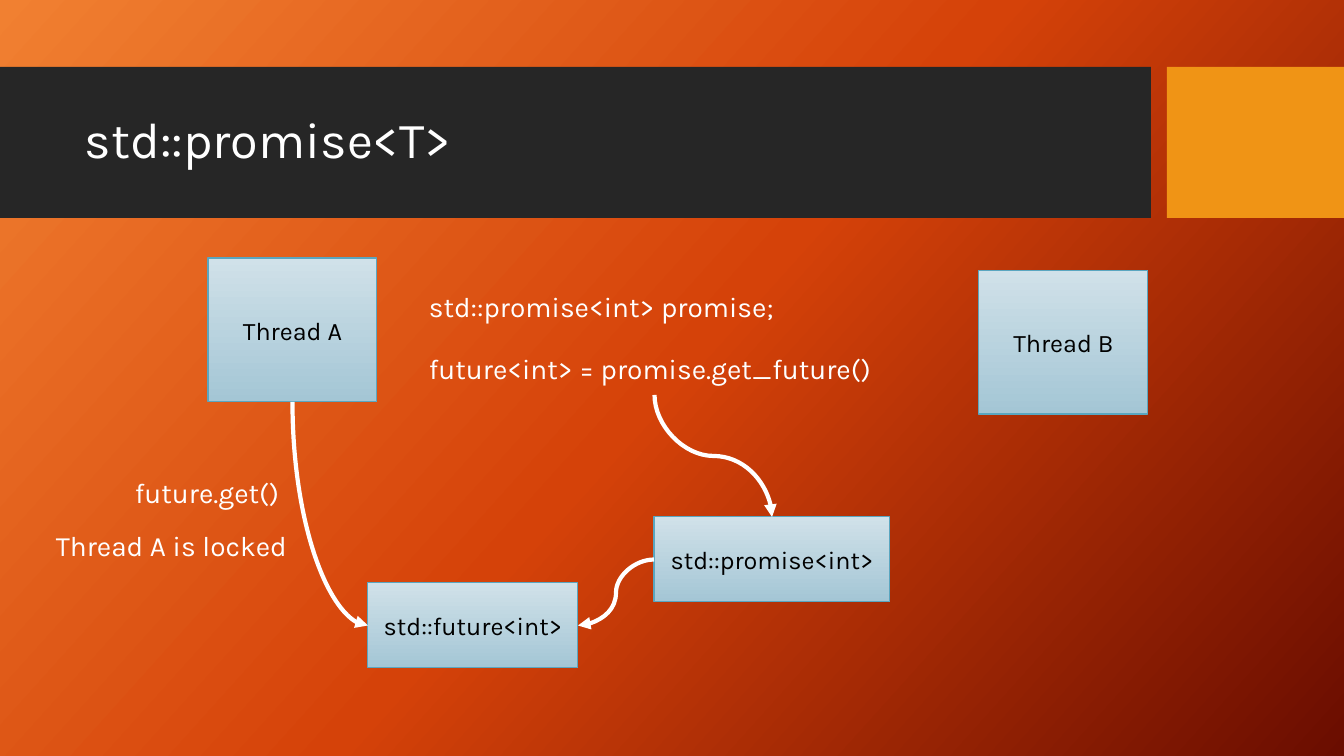
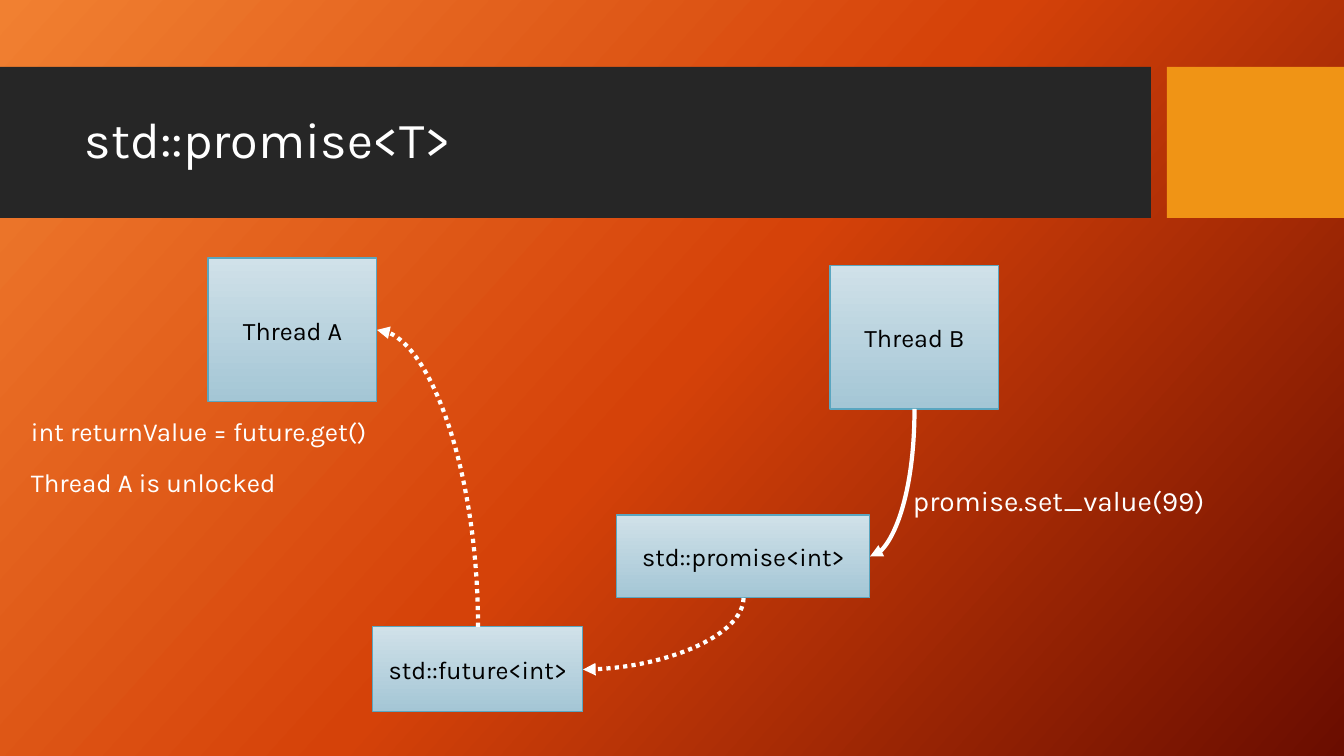
from copy import deepcopy
from dataclasses import dataclass

from pptx import Presentation
from pptx.dml.color import RGBColor
from pptx.enum.dml import MSO_LINE
from pptx.enum.shapes import MSO_CONNECTOR, MSO_SHAPE
from pptx.enum.text import MSO_ANCHOR, PP_ALIGN
from pptx.oxml.ns import qn
from pptx.util import Emu, Pt

RECTANGLE = MSO_SHAPE.RECTANGLE
CURVE = MSO_CONNECTOR.CURVE
DOTTED = MSO_LINE.ROUND_DOT
MIDDLE = MSO_ANCHOR.MIDDLE
LEFT, CENTER = PP_ALIGN.LEFT, PP_ALIGN.CENTER
EMU_PER_PIXEL = 12192000 / 1344
TOP_SITE, LEFT_SITE, BOTTOM_SITE, RIGHT_SITE = range(4)


@dataclass(frozen=True)
class Theme:
    font: str = "Karla"
    background: tuple = ((0, "F18031"), (0.5, "D54209"), (1, "6A0D00"))
    background_angle: int = 42
    box: tuple = ((0, "D0E1E9"), (1, "A4C6D5"))
    box_angle: int = 90
    box_line: str = "5AA6C0"
    band: str = "262626"
    accent: str = "F09415"
    light: str = "FFFFFF"
    dark: str = "000000"
    title_size: float = 36
    code_size: float = 20
    small_code_size: float = 18.5
    box_size: float = 18
    box_line_width: float = 0.75
    arrow_width: float = 3


THEME = Theme()

# Content: frames are left, top, width, height in pixels
SLIDE_SIZE = (1344, 756)
BANDS = [((0, 67, 1151, 151), THEME.band), ((1167, 67, 177, 151), THEME.accent)]
TITLE_FRAME = (75, 83, 1059, 119)
THREAD_A = ("Thread A", (208, 258, 169, 144))

# Notes: lines, frame, size, line spacing, gap between lines in points
# Arrows: start name, start site, end name, end site, dash style
SLIDES = [
    {
        "title": "std::promise<T>",
        "boxes": {
            "thread_a": THREAD_A,
            "thread_b": ("Thread B", (979, 270, 169, 144)),
            "promise": ("std::promise<int>", (654, 517, 236, 85)),
            "future": ("std::future<int>", (368, 583, 210, 85)),
        },
        "notes": {
            "setup": (["std::promise<int> promise;",
                       "future<int> = promise.get_future()"],
                      (419, 284, 471, 111), THEME.code_size, 0.9, 22.5),
            "get": (["future.get()"], (125, 468, 192, 52), THEME.code_size, 0.9, 0),
            "locked": (["Thread A is locked"], (46, 501, 339, 92),
                       THEME.code_size, 0.9, 0),
        },
        "arrows": [
            ("setup", BOTTOM_SITE, "promise", TOP_SITE, None),
            ("thread_a", BOTTOM_SITE, "future", LEFT_SITE, None),
            ("promise", LEFT_SITE, "future", RIGHT_SITE, None),
        ],
    },
    {
        "title": "std::promise<T>",
        "boxes": {
            "thread_a": THREAD_A,
            "thread_b": ("Thread B", (830, 265, 169, 144)),
            "promise": ("std::promise<int>", (617, 515, 253, 83)),
            "future": ("std::future<int>", (373, 627, 210, 85)),
        },
        "notes": {
            "unlocked": (["int returnValue = future.get()", "Thread A is unlocked"],
                         (21, 413, 408, 93), THEME.small_code_size, 0.8, 18.5),
            "set": (["promise.set_value(99)"], (903, 473, 336, 58),
                    THEME.code_size, 0.9, 0),
        },
        "arrows": [
            ("thread_b", BOTTOM_SITE, "promise", RIGHT_SITE, None),
            ("promise", BOTTOM_SITE, "future", RIGHT_SITE, DOTTED),
            ("future", TOP_SITE, "thread_a", RIGHT_SITE, DOTTED),
        ],
    },
]


# Helpers
def pixels(*values):
    return [Emu(round(value * EMU_PER_PIXEL)) for value in values]


def rgb(value):
    return RGBColor.from_string(value)


def fill_gradient(fill, element, stops, angle):
    fill.gradient()
    fill.gradient_angle = 360 - angle
    stop_list = next(element.iter(qn("a:gsLst")))
    while len(stop_list) < len(stops):
        stop_list.append(deepcopy(stop_list[0]))
    for stop, (position, color) in zip(fill.gradient_stops, stops):
        stop.position = position
        stop.color.rgb = rgb(color)


def write_text(shape, lines, size, color, spacing=1.0, gap=0, alignment=LEFT):
    text_frame = shape.text_frame
    text_frame.word_wrap = True
    text_frame.vertical_anchor = MIDDLE
    text_frame.text = "\n".join(lines)
    for index, paragraph in enumerate(text_frame.paragraphs):
        paragraph.alignment = alignment
        paragraph.line_spacing = spacing
        paragraph.space_before = Pt(gap if index else 0)
        for run in paragraph.runs:
            run.font.name = THEME.font
            run.font.size = Pt(size)
            run.font.color.rgb = rgb(color)


def add_note(slide, lines, frame, size, spacing, gap):
    shape = slide.shapes.add_textbox(*pixels(*frame))
    write_text(shape, lines, size, THEME.light, spacing, gap)
    return shape


def add_band(slide, frame, color):
    shape = slide.shapes.add_shape(RECTANGLE, *pixels(*frame))
    shape.shadow.inherit = False
    shape.fill.solid()
    shape.fill.fore_color.rgb = rgb(color)
    shape.line.fill.background()


def add_box(slide, label, frame):
    shape = slide.shapes.add_shape(RECTANGLE, *pixels(*frame))
    shape.shadow.inherit = False
    fill_gradient(shape.fill, shape._element, THEME.box, THEME.box_angle)
    shape.line.color.rgb = rgb(THEME.box_line)
    shape.line.width = Pt(THEME.box_line_width)
    write_text(shape, [label], THEME.box_size, THEME.dark, alignment=CENTER)
    return shape


def site_point(shape, site):
    across, down = {TOP_SITE: (0.5, 0), LEFT_SITE: (0, 0.5),
                    BOTTOM_SITE: (0.5, 1), RIGHT_SITE: (1, 0.5)}[site]
    return shape.left + across * shape.width, shape.top + down * shape.height


def add_arrow(slide, start, start_site, end, end_site, dash):
    start_x, start_y = site_point(start, start_site)
    end_x, end_y = site_point(end, end_site)
    run, rise = end_x - start_x, end_y - start_y
    starts_vertical = start_site in (TOP_SITE, BOTTOM_SITE)
    ends_vertical = end_site in (TOP_SITE, BOTTOM_SITE)

    # A curve leaves sideways, so one that leaves vertically is turned
    rotation, width, height = 0, run, rise
    if starts_vertical:
        if run < 0 < rise:
            rotation, width, height = 90, rise, -run
        else:
            rotation, width, height = 270, -rise, run
    center_x, center_y = (start_x + end_x) / 2, (start_y + end_y) / 2

    connector = slide.shapes.add_connector(CURVE, 0, 0, 0, 0)
    connector.begin_connect(start, start_site)
    connector.end_connect(end, end_site)
    connector.begin_x = Emu(round(center_x - width / 2))
    connector.begin_y = Emu(round(center_y - height / 2))
    connector.end_x = Emu(round(center_x + width / 2))
    connector.end_y = Emu(round(center_y + height / 2))

    properties = connector._element.spPr
    if rotation:
        properties.find(qn("a:xfrm")).set("rot", str(rotation * 60000))
    if starts_vertical != ends_vertical:
        properties.find(qn("a:prstGeom")).set("prst", "curvedConnector2")
    connector.line.color.rgb = rgb(THEME.light)
    connector.line.width = Pt(THEME.arrow_width)
    if dash:
        connector.line.dash_style = dash
    line = properties.find(qn("a:ln"))
    line.append(line.makeelement(qn("a:tailEnd"), {"type": "triangle"}))
    properties.append(properties.makeelement(qn("a:effectLst"), {}))


# Build
presentation = Presentation()
presentation.slide_width, presentation.slide_height = pixels(*SLIDE_SIZE)
master = presentation.slide_master
fill_gradient(master.background.fill, master._element,
              THEME.background, THEME.background_angle)

for content in SLIDES:
    slide = presentation.slides.add_slide(presentation.slide_layouts[6])
    for frame, color in BANDS:
        add_band(slide, frame, color)
    add_note(slide, [content["title"]], TITLE_FRAME, THEME.title_size, 0.9, 0)
    parts = {name: add_box(slide, *box) for name, box in content["boxes"].items()}
    for name, note in content["notes"].items():
        parts[name] = add_note(slide, *note)
    for start, start_site, end, end_site, dash in content["arrows"]:
        add_arrow(slide, parts[start], start_site, parts[end], end_site, dash)

presentation.save("out.pptx")
